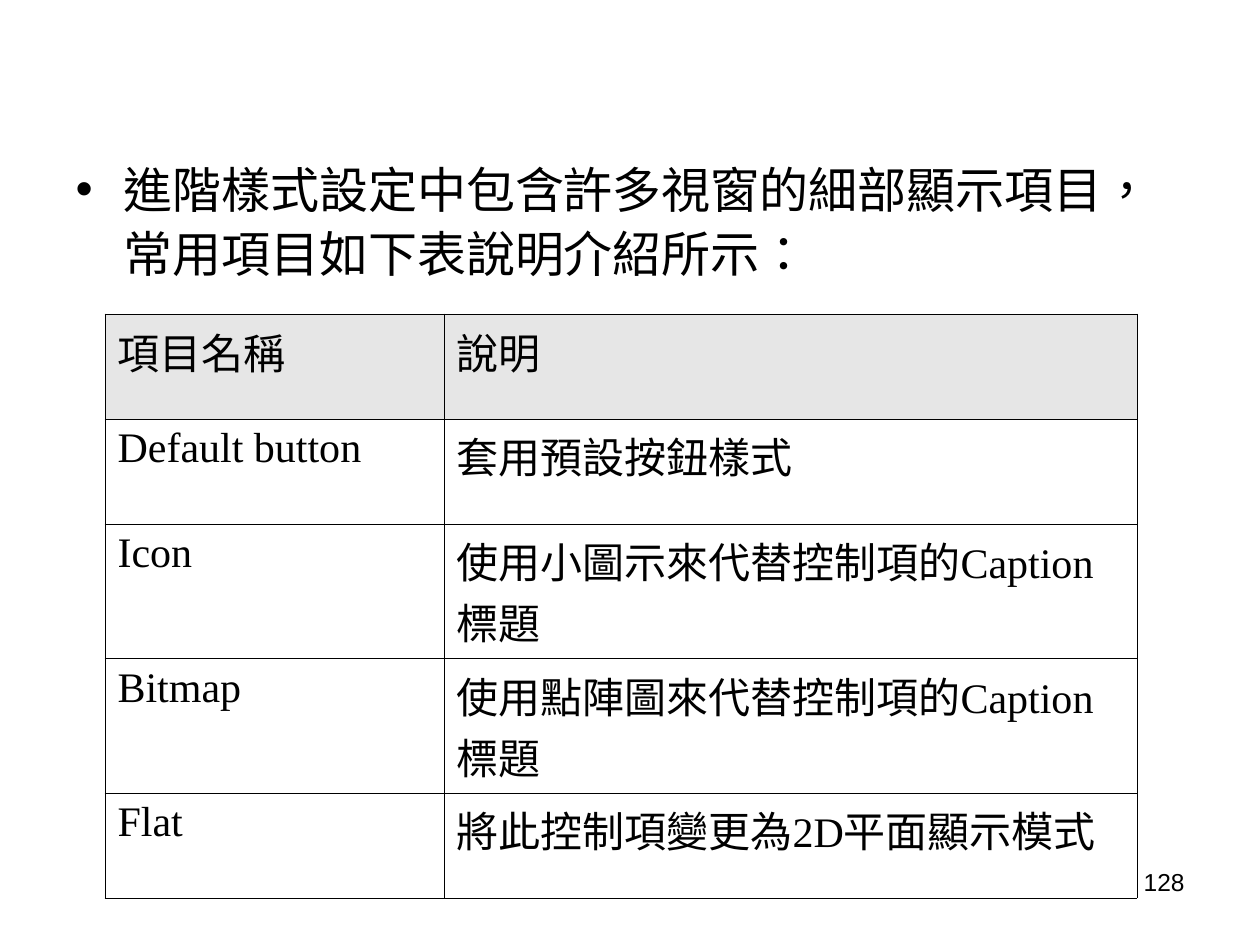
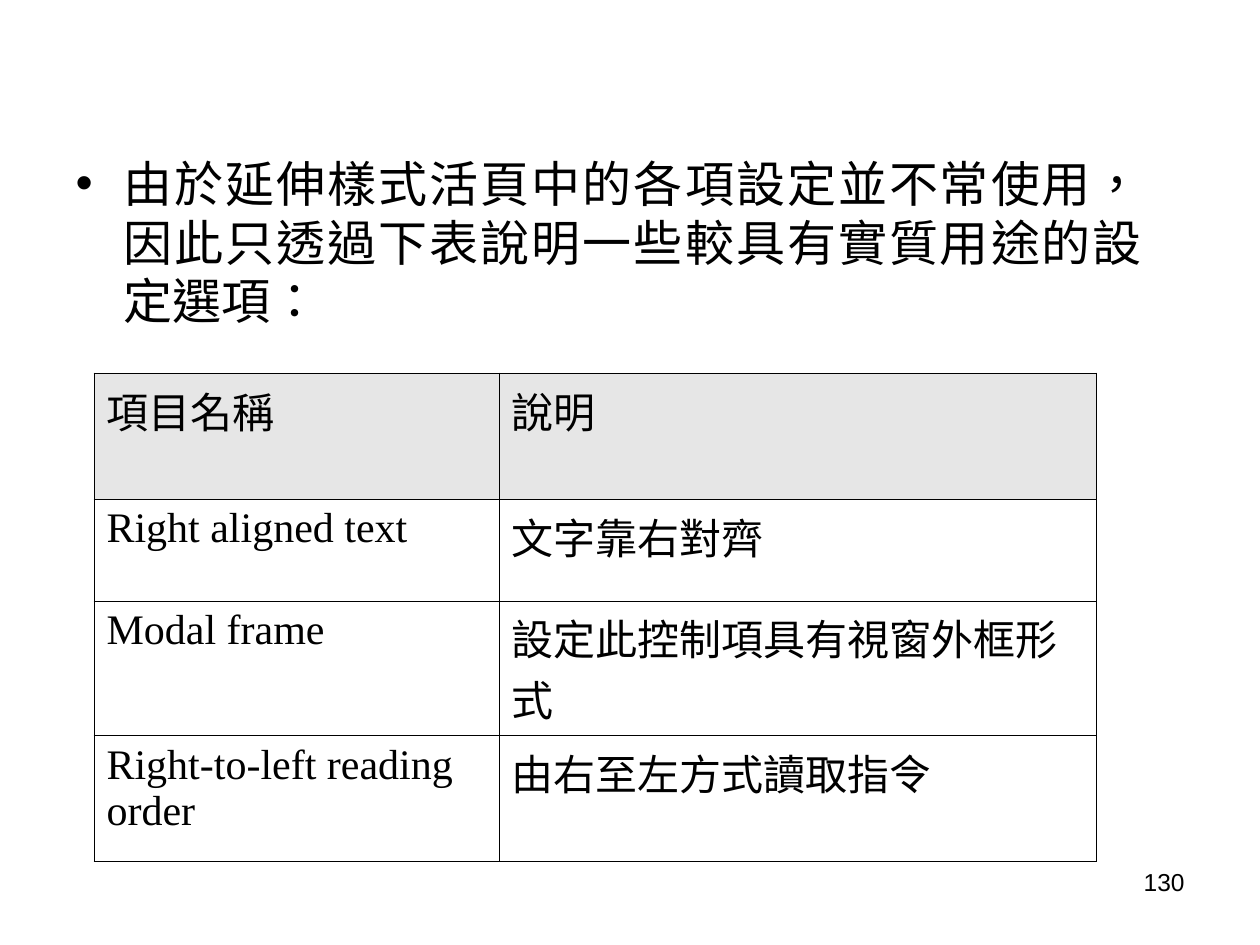
import pptx
import pptx.dml.color
import pptx.enum.lang
import pptx.enum.text
import pptx.oxml
import pptx.oxml.ns
import pptx.util

RGBColor = pptx.dml.color.RGBColor
ALIGN = pptx.enum.text.PP_ALIGN
EMU_PER_PX = 914400 / 126

BLACK = RGBColor(0x00, 0x00, 0x00)
HEADER_GREY = RGBColor(0xE6, 0xE6, 0xE6)

# Shared text formats: font name and size in points
INTRO_FONT = {"name": "Arial", "size": 28}
CELL_FONT = {"name": "Times New Roman", "size": 24}
NUMBER_FONT = {"name": "Arial", "size": 14}

BULLET_INDENT = 48
BORDER_WIDTH = pptx.util.Pt(0.45)
HEADINGS = ("項目名稱", "說明")


def px(length):
    return pptx.util.Emu(round(length * EMU_PER_PX))


def place(shape, left, top, width, height):
    box = {"left": left, "top": top, "width": width, "height": height}
    for name, length in box.items():
        setattr(shape, name, px(length))


def add_xml(parent, tag, **attributes):
    """Append one DrawingML element to its parent."""
    element = pptx.oxml.parse_xml(f"<a:{tag} {pptx.oxml.ns.nsdecls('a')}/>")
    for name, value in attributes.items():
        element.set(name, str(value))
    parent.append(element)
    return element


def write(para, text, font, **layout):
    for name, value in layout.items():
        setattr(para, name, value)
    span = para.add_run()
    span.text = text
    language = pptx.enum.lang.MSO_LANGUAGE_ID.TRADITIONAL_CHINESE
    formats = {**font, "size": pptx.util.Pt(font["size"]), "language_id": language}
    for name, value in formats.items():
        setattr(span.font, name, value)
    span.font.color.rgb = BLACK


# Bulleted introduction in the body placeholder
def add_intro(page, text, width, **layout):
    body = page.placeholders[1]
    place(body, 63, 147, width, 693)
    body.text_frame.auto_size = pptx.enum.text.MSO_AUTO_SIZE.NONE
    para = body.text_frame.paragraphs[0]
    properties = para._p.get_or_add_pPr()
    properties.set("marL", str(px(BULLET_INDENT)))
    properties.set("indent", str(-px(BULLET_INDENT)))
    color = add_xml(properties, "buClr")
    add_xml(color, "srgbClr", val=BLACK)
    add_xml(properties, "buFont", typeface="Arial")
    add_xml(properties, "buChar", char="•")
    write(para, text, INTRO_FONT, space_before=pptx.util.Pt(0), **layout)


# Bordered table with a grey header row
def add_borders(cell):
    properties = cell._tc.get_or_add_tcPr()
    for position, side in enumerate(("lnL", "lnR", "lnT", "lnB")):
        line = add_xml(properties, side, w=BORDER_WIDTH)
        fill = add_xml(line, "solidFill")
        add_xml(fill, "srgbClr", val=BLACK)
        properties.insert(position, line)


def add_option_table(page, left, top, widths, heights, options):
    rows = [HEADINGS, *options]
    frame = page.shapes.add_table(
        len(rows), len(widths), px(left), px(top), px(sum(widths)), px(sum(heights)))
    table = frame.table
    table.horz_banding = False
    for column, width in zip(table.columns, widths):
        column.width = px(width)
    for row, height, texts in zip(table.rows, heights, rows):
        row.height = px(height)
        for cell, text in zip(row.cells, texts):
            if texts is HEADINGS:
                cell.fill.solid()
                cell.fill.fore_color.rgb = HEADER_GREY
            else:
                cell.fill.background()
            add_borders(cell)
            write(cell.text_frame.paragraphs[0], text, {**CELL_FONT, "bold": False})


def add_page_number(page, number):
    box = page.shapes.add_textbox(px(903), px(861), px(294), px(66))
    box.text_frame.word_wrap = True
    write(box.text_frame.paragraphs[0], str(number), NUMBER_FONT, alignment=ALIGN.RIGHT)


def add_page(deck):
    page = deck.slides.add_slide(deck.slide_layouts[1])
    title = page.shapes.title._element
    title.getparent().remove(title)
    return page


def main():
    deck = pptx.Presentation()
    deck.slide_width, deck.slide_height = px(1260), px(945)

    # Advanced style options
    page = add_page(deck)
    add_intro(page, "進階樣式設定中包含許多視窗的細部顯示項目，常用項目如下表說明介紹所示：",
              1102, line_spacing=1.1)
    add_option_table(page, 105, 314, (339, 693), (105, 105, 113, 113, 105), [
        ("Default button", "套用預設按鈕樣式"),
        ("Icon", "使用小圖示來代替控制項的Caption標題"),
        ("Bitmap", "使用點陣圖來代替控制項的Caption標題"),
        ("Flat", "將此控制項變更為2D平面顯示模式"),
    ])
    add_page_number(page, 128)

    # Extended style options
    page = add_page(deck)
    add_intro(page, "由於延伸樣式活頁中的各項設定並不常使用，因此只透過下表說明一些較具有實質用途的設定選項：",
              1092, alignment=ALIGN.JUSTIFY)
    add_option_table(page, 94, 373, (405, 597), (126, 102, 126, 126), [
        ("Right aligned text", "文字靠右對齊"),
        ("Modal frame", "設定此控制項具有視窗外框形式"),
        ("Right-to-left reading order", "由右至左方式讀取指令"),
    ])
    add_page_number(page, 130)

    deck.save("out.pptx")


if __name__ == "__main__":
    main()
